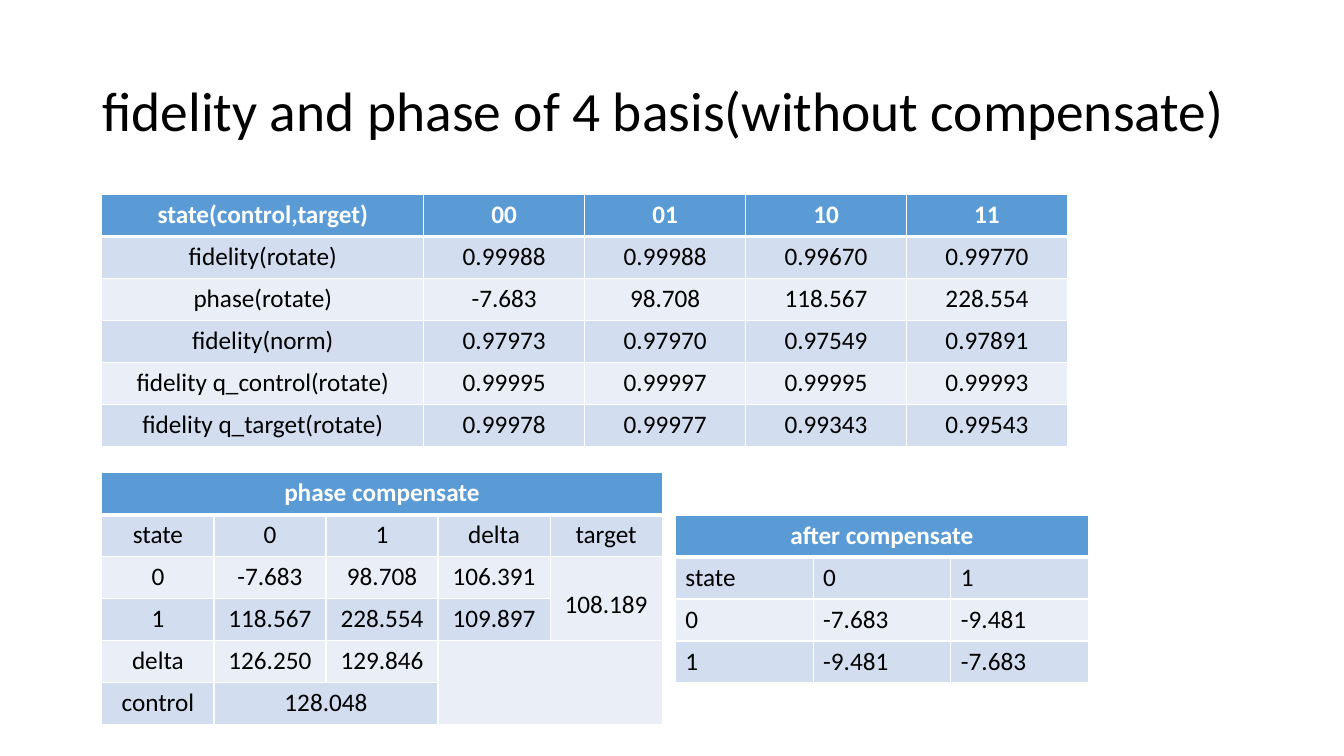
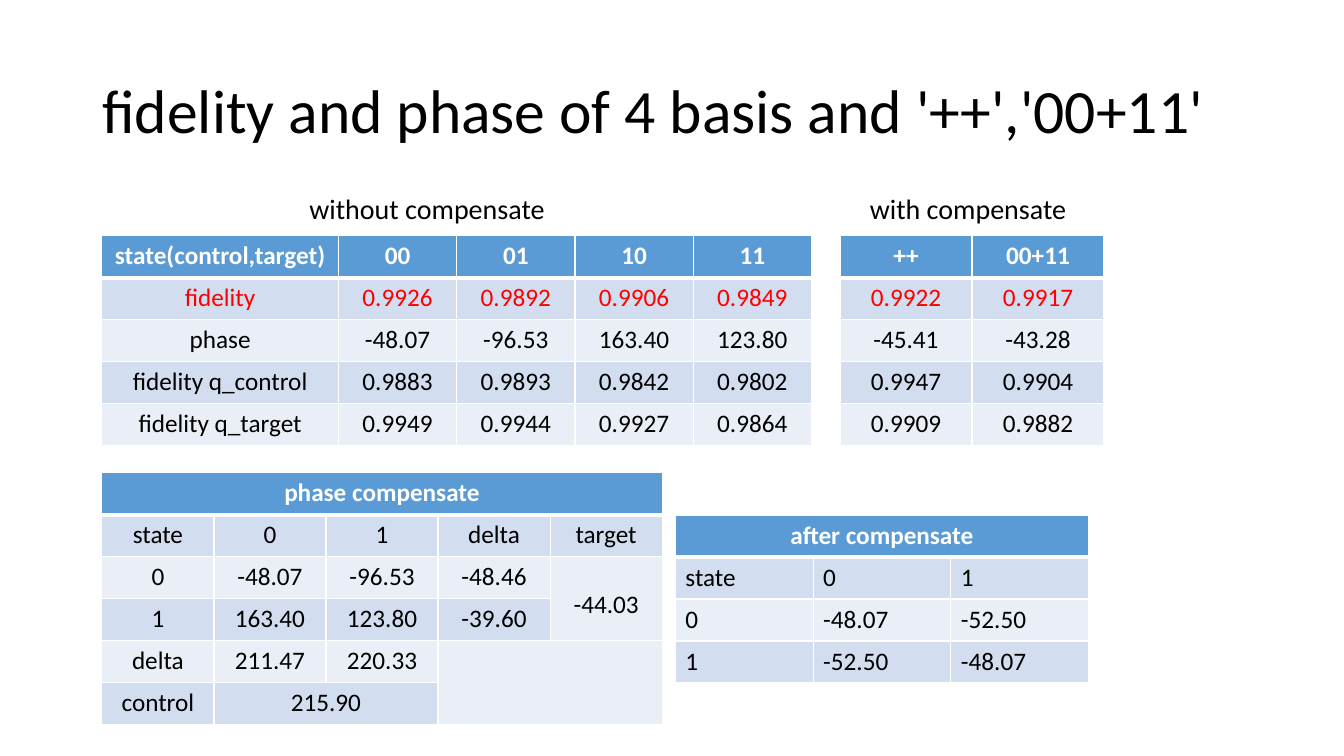
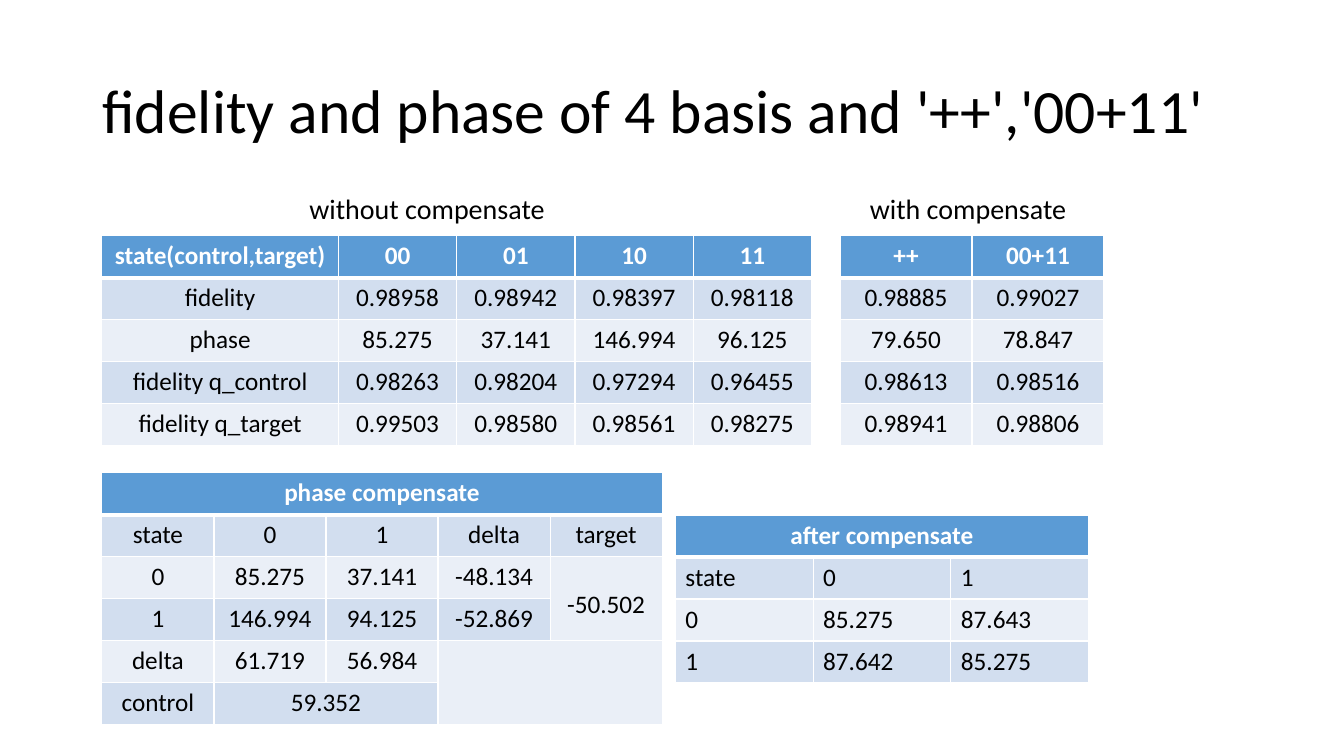
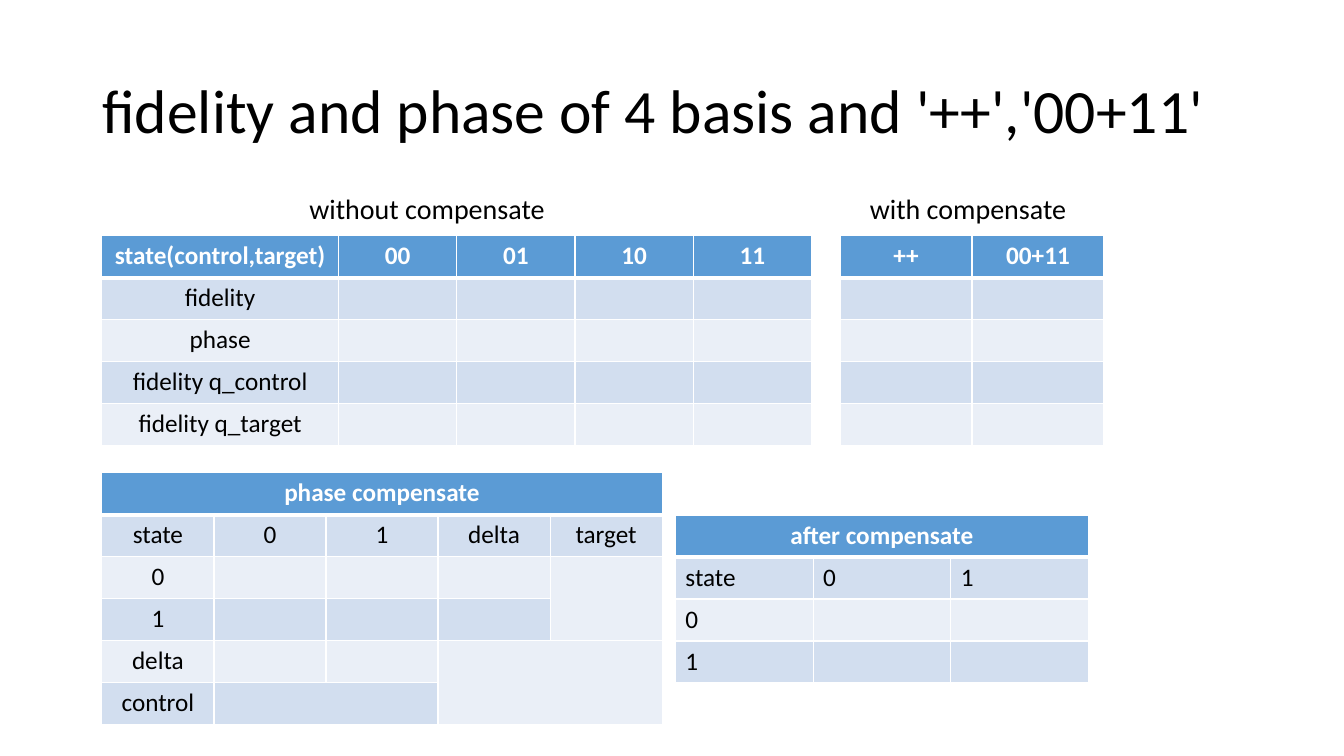
import pptx
import pptx.util
import pptx.dml.color
import pptx.enum.text
import pptx.oxml.ns
import lxml.etree

COLORS = {"text": "000000", "white": "FFFFFF", "header": "5B9BD5",
          "band": "D2DEEF", "light": "EAEFF7", "highlight": "FF0000"}
FONT = "Calibri"
WIDTH, HEIGHT = pptx.util.Inches(13.33), pptx.util.Inches(7.5)
ROW = HEIGHT // 18
CENTER = pptx.enum.text.PP_ALIGN.CENTER
LEFT = pptx.enum.text.PP_ALIGN.LEFT

TITLE_BOX = (6.88, 5.32, 86.25, 19.33)
BASIS_ALONE_BOX = (7.58, 25.73, 71.85)
BASIS_BOX = (7.58, 31.2, 52.8)
SUPERPOSITION_BOX = (62.5, 31.2, 19.65)
PHASE_BOX = (7.58, 62.53, 41.7)
AFTER_BOX = (50.25, 68.13, 30.75)
CAPTIONS = (("without compensate", (22.28, 24.67, 20.18, 5.87)),
            ("with compensate", (63.98, 24.67, 20.18, 5.87)))

BASIS_HEADER = ["state(control,target)", "00", "01", "10", "11"]
BASIS_LABELS = ["fidelity", "phase", "fidelity q_control", "fidelity q_target"]
PAIR_TITLE = "fidelity and phase of 4 basis and '++','00+11'"


def blank(rows, cols):
    return [[""] * cols for _ in range(rows)]


ALONE = {
    "title": "fidelity and phase of 4 basis(without compensate)",
    "labels": ["fidelity(rotate)", "phase(rotate)", "fidelity(norm)",
               "fidelity q_control(rotate)", "fidelity q_target(rotate)"],
    "basis": [["0.99988", "0.99988", "0.99670", "0.99770"],
              ["-7.683", "98.708", "118.567", "228.554"],
              ["0.97973", "0.97970", "0.97549", "0.97891"],
              ["0.99995", "0.99997", "0.99995", "0.99993"],
              ["0.99978", "0.99977", "0.99343", "0.99543"]],
    "phase": [["-7.683", "98.708", "106.391"],
              ["118.567", "228.554", "109.897"],
              ["126.250", "129.846", ""]],
    "target": "108.189", "control": "128.048",
    "after": [["-7.683", "-9.481"], ["-9.481", "-7.683"]],
}
PAIRS = [
    {
        "highlight": 1,
        "basis": [["0.9926", "0.9892", "0.9906", "0.9849"],
                  ["-48.07", "-96.53", "163.40", "123.80"],
                  ["0.9883", "0.9893", "0.9842", "0.9802"],
                  ["0.9949", "0.9944", "0.9927", "0.9864"]],
        "superposition": [["0.9922", "0.9917"], ["-45.41", "-43.28"],
                          ["0.9947", "0.9904"], ["0.9909", "0.9882"]],
        "phase": [["-48.07", "-96.53", "-48.46"],
                  ["163.40", "123.80", "-39.60"],
                  ["211.47", "220.33", ""]],
        "target": "-44.03", "control": "215.90",
        "after": [["-48.07", "-52.50"], ["-52.50", "-48.07"]],
    },
    {
        "highlight": None,
        "basis": [["0.98958", "0.98942", "0.98397", "0.98118"],
                  ["85.275", "37.141", "146.994", "96.125"],
                  ["0.98263", "0.98204", "0.97294", "0.96455"],
                  ["0.99503", "0.98580", "0.98561", "0.98275"]],
        "superposition": [["0.98885", "0.99027"], ["79.650", "78.847"],
                          ["0.98613", "0.98516"], ["0.98941", "0.98806"]],
        "phase": [["85.275", "37.141", "-48.134"],
                  ["146.994", "94.125", "-52.869"],
                  ["61.719", "56.984", ""]],
        "target": "-50.502", "control": "59.352",
        "after": [["85.275", "87.643"], ["87.642", "85.275"]],
    },
    {
        "highlight": None,
        "basis": blank(4, 4), "superposition": blank(4, 2),
        "phase": blank(3, 3), "target": "", "control": "",
        "after": blank(2, 2),
    },
]


def rgb(name):
    return pptx.dml.color.RGBColor.from_string(COLORS[name])


def across(percent):
    return round(WIDTH * percent / 100)


def down(percent):
    return round(HEIGHT * percent / 100)


def style_runs(p, size, color="text", bold=False):
    for r in p.runs:
        r.font.name = FONT
        r.font.size = pptx.util.Pt(size)
        r.font.bold = bold
        r.font.color.rgb = rgb(color)


def add_text(s, text, box, size):
    left, top, width, height = box
    tf = s.shapes.add_textbox(across(left), down(top), across(width), down(height)).text_frame
    tf.word_wrap = True
    tf.text = text
    style_runs(tf.paragraphs[0], size)
    return tf


def add_title(s, text, size):
    tf = add_text(s, text, TITLE_BOX, size)
    tf.vertical_anchor = pptx.enum.text.MSO_ANCHOR.MIDDLE
    tf.paragraphs[0].line_spacing = 0.9


def add_borders(cell, row):
    tc_pr = cell._tc.get_or_add_tcPr()
    thick = {0: "lnB", 1: "lnT"}.get(row)
    for side in ("lnL", "lnR", "lnT", "lnB"):
        points = 3 if side == thick else 1
        ln = lxml.etree.SubElement(tc_pr, pptx.oxml.ns.qn("a:" + side),
                                   w=str(pptx.util.Pt(points)))
        fill = lxml.etree.SubElement(ln, pptx.oxml.ns.qn("a:solidFill"))
        lxml.etree.SubElement(fill, pptx.oxml.ns.qn("a:srgbClr"), val=COLORS["white"])


def add_grid(s, box, rows, weights, merges=(), align=CENTER, highlight=None):
    left, top, width = box
    table = s.shapes.add_table(len(rows), len(weights), across(left), down(top),
                               across(width), ROW * len(rows)).table
    table.horz_banding = False
    for col, weight in zip(table.columns, weights):
        col.width = round(across(width) * weight / sum(weights))
    for i, values in enumerate(rows):
        table.rows[i].height = ROW
        fill = "header" if i == 0 else "band" if i % 2 else "light"
        color = "white" if i == 0 else "highlight" if i == highlight else "text"
        for j, value in enumerate(values):
            cell = table.cell(i, j)
            add_borders(cell, i)
            cell.fill.solid()
            cell.fill.fore_color.rgb = rgb(fill)
            cell.text_frame.text = value
            p = cell.text_frame.paragraphs[0]
            p.alignment = CENTER if i == 0 else align
            style_runs(p, 18, color, i == 0)
    for first_row, first_col, last_row, last_col in merges:
        table.cell(first_row, first_col).merge(table.cell(last_row, last_col))
    return table


def add_basis(s, box, labels, values, highlight=None):
    rows = [BASIS_HEADER] + [[label] + row for label, row in zip(labels, values)]
    add_grid(s, box, rows, [2, 1, 1, 1, 1], highlight=highlight)


def add_phase(s, box, values, target, control):
    rows = [["phase compensate", "", "", "", ""],
            ["state", "0", "1", "delta", "target"]]
    for label, row, last in zip(("0", "1", "delta"), values, (target, "", "")):
        rows.append([label] + row + [last])
    rows.append(["control", control, "", "", ""])
    table = add_grid(s, box, rows, [1] * 5,
                     [(0, 0, 0, 4), (2, 4, 3, 4), (4, 3, 5, 4), (5, 1, 5, 2)])
    table.cell(2, 4).text_frame.paragraphs[0].line_spacing = 1.9


def add_after(s, box, values):
    rows = [["after compensate", "", ""], ["state", "0", "1"]]
    rows += [[label] + row for label, row in zip("01", values)]
    add_grid(s, box, rows, [1] * 3, [(0, 0, 0, 2)], LEFT)


def add_compensation(s, data):
    add_phase(s, PHASE_BOX, data["phase"], data["target"], data["control"])
    add_after(s, AFTER_BOX, data["after"])


def alone_slide(s, data):
    add_title(s, data["title"], 39.6)
    add_basis(s, BASIS_ALONE_BOX, data["labels"], data["basis"])
    add_compensation(s, data)


def pair_slide(s, data):
    add_title(s, PAIR_TITLE, 44)
    add_basis(s, BASIS_BOX, BASIS_LABELS, data["basis"], data["highlight"])
    add_compensation(s, data)
    add_grid(s, SUPERPOSITION_BOX, [["++", "00+11"]] + data["superposition"], [1, 1],
             highlight=data["highlight"])
    for text, box in CAPTIONS:
        add_text(s, text, box, 20)


def main():
    prs = pptx.Presentation()
    prs.slide_width, prs.slide_height = WIDTH, HEIGHT
    layout = prs.slide_layouts[6]
    alone_slide(prs.slides.add_slide(layout), ALONE)
    for data in PAIRS:
        pair_slide(prs.slides.add_slide(layout), data)
    prs.save("out.pptx")


if __name__ == "__main__":
    main()
